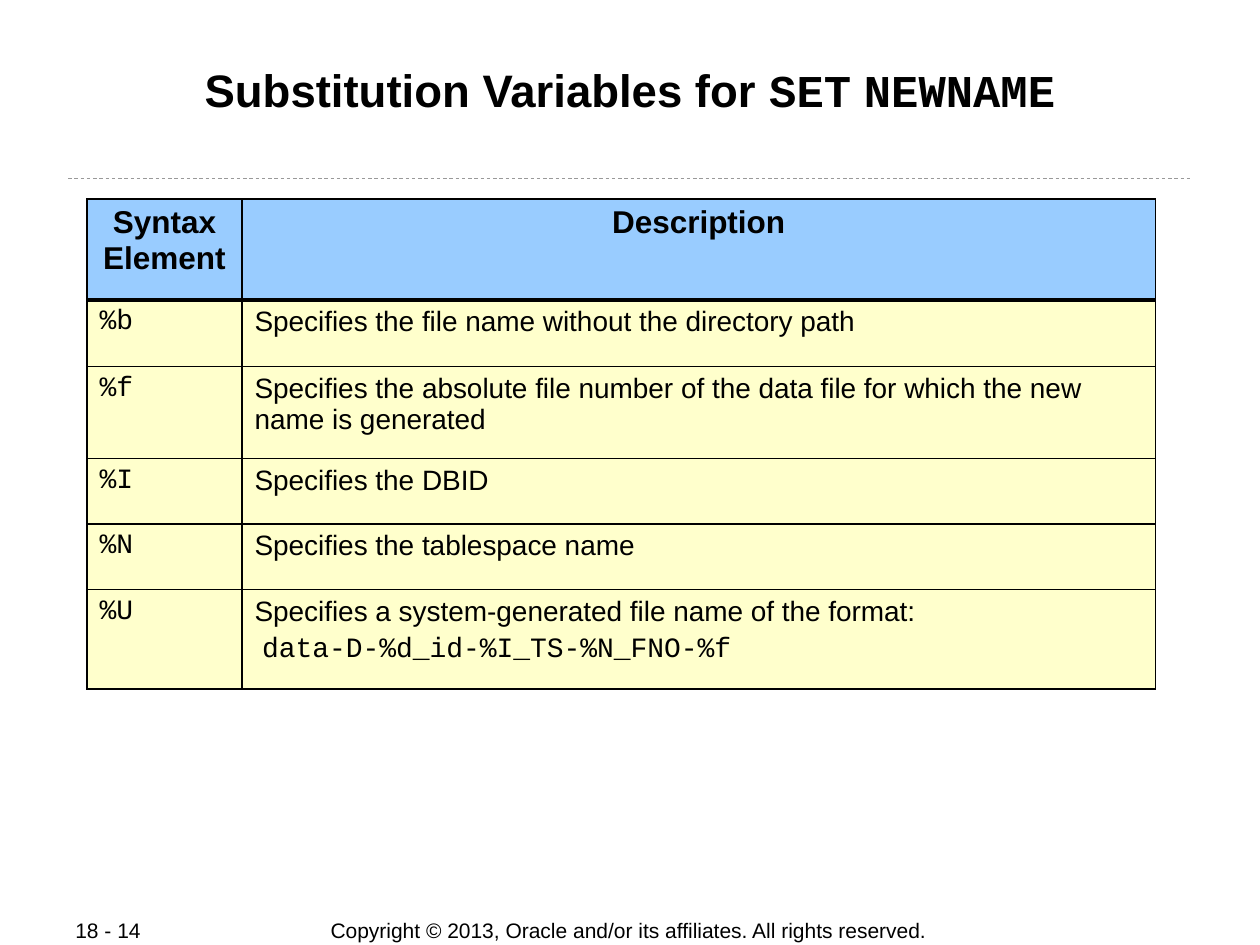
from lxml.etree import SubElement
from pptx import Presentation
from pptx.dml.color import RGBColor
from pptx.enum.dml import MSO_LINE
from pptx.enum.shapes import MSO_CONNECTOR
from pptx.enum.text import MSO_ANCHOR, MSO_AUTO_SIZE, PP_ALIGN
from pptx.oxml.ns import qn
from pptx.util import Inches, Pt

COLORS = {"ink": "000000", "rule": "999999", "header": "99CCFF", "body": "FFFFCC"}
SANS, MONO = "Arial", "Courier New"


def write(paragraph, text, font=SANS, size=16, bold=False, align=PP_ALIGN.LEFT):
    run = paragraph.add_run()
    run.text = text
    run.font.name = font
    run.font.size = Pt(size)
    run.font.bold = bold
    run.font.color.rgb = RGBColor.from_string(COLORS["ink"])
    paragraph.alignment = align


class SlideBuilder:
    """Draws styled elements on the current slide."""

    def __init__(self, deck):
        self.slide = deck.slides.add_slide(deck.slide_layouts[5])
        self.border = 1.08
        self.heavy_border = 2.21

    def title(self, parts, left, top, width, height):
        heading = self.slide.shapes.title
        heading.left, heading.top = Inches(left), Inches(top)
        heading.width, heading.height = Inches(width), Inches(height)
        frame = heading.text_frame
        frame.auto_size = MSO_AUTO_SIZE.NONE
        frame.word_wrap = True
        frame.vertical_anchor = MSO_ANCHOR.TOP
        frame.margin_left = frame.margin_right = Inches(0.01)
        frame.margin_top = frame.margin_bottom = Inches(0.01)
        for text, font in parts:
            write(frame.paragraphs[0], text, font=font, size=26, bold=True,
                  align=PP_ALIGN.CENTER)

    def rule(self, left, right, y):
        divider = self.slide.shapes.add_connector(
            MSO_CONNECTOR.STRAIGHT, Inches(left), Inches(y), Inches(right), Inches(y))
        divider.line.color.rgb = RGBColor.from_string(COLORS["rule"])
        divider.line.width = Pt(0.5)
        divider.line.dash_style = MSO_LINE.DASH
        SubElement(divider.element.spPr, qn("a:effectLst"))

    def footer(self, text, left, width, align):
        box = self.slide.shapes.add_textbox(
            Inches(left), Inches(7.28), Inches(width), Inches(0.21))
        box.text_frame.word_wrap = False
        box.text_frame.vertical_anchor = MSO_ANCHOR.MIDDLE
        write(box.text_frame.paragraphs[0], text, size=12, align=align)

    def cell(self, cell, fill, widths):
        properties = cell._tc.get_or_add_tcPr()
        for side, width in widths.items():
            edge = SubElement(properties, qn(f"a:{side}"), w=str(Pt(width)))
            SubElement(SubElement(edge, qn("a:solidFill")), qn("a:srgbClr"),
                       val=COLORS["ink"])
        cell.fill.solid()
        cell.fill.fore_color.rgb = RGBColor.from_string(COLORS[fill])

    def table(self, headers, rows, left, top, columns, heights):
        grid = self.slide.shapes.add_table(
            len(heights), len(columns), Inches(left), Inches(top),
            Inches(sum(columns)), Inches(sum(heights))).table
        for column, width in zip(grid.columns, columns):
            column.width = Inches(width)
        for row, height in zip(grid.rows, heights):
            row.height = Inches(height)
        for row_index, row in enumerate(grid.rows):
            widths = dict.fromkeys(("lnL", "lnR", "lnT", "lnB"), self.border)
            if row_index < 2:
                widths["lnT" if row_index else "lnB"] = self.heavy_border
            for cell in row.cells:
                self.cell(cell, "body" if row_index else "header", widths)
        for column, header in enumerate(headers):
            write(grid.cell(0, column).text_frame.paragraphs[0], header,
                  size=18, bold=True, align=PP_ALIGN.CENTER)
        for row_index, (element, description, *example) in enumerate(rows, 1):
            write(grid.cell(row_index, 0).text_frame.paragraphs[0], element, font=MONO)
            details = grid.cell(row_index, 1).text_frame
            write(details.paragraphs[0], description)
            for code in example:
                line = details.add_paragraph()
                line.space_before = Pt(4)
                line._p.get_or_add_pPr().set("marL", str(Inches(0.06)))
                write(line, code, font=MONO)


def main():
    deck = Presentation()
    deck.slide_width, deck.slide_height = Inches(10), Inches(7.5)
    builder = SlideBuilder(deck)
    builder.footer("Copyright © 2013, Oracle and/or its affiliates. All rights reserved.",
                   2.49, 5, PP_ALIGN.CENTER)
    builder.rule(0.54, 9.46, 1.42)
    builder.footer("18 - 14", 0.5, 1.06, PP_ALIGN.LEFT)
    builder.title([("Substitution Variables for ", SANS), ("SET", MONO),
                   (" ", SANS), ("NEWNAME", MONO)], 0.67, 0.48, 8.66, 0.96)
    builder.table(
        ["Syntax Element", "Description"],
        [("%b", "Specifies the file name without the directory path"),
         ("%f", "Specifies the absolute file number of the data file "
                "for which the new name is generated"),
         ("%I", "Specifies the DBID"),
         ("%N", "Specifies the tablespace name"),
         ("%U", "Specifies a system-generated file name of the format:",
          "data-D-%d_id-%I_TS-%N_FNO-%f")],
        left=0.69, top=1.58, columns=[1.23, 7.25],
        heights=[0.8, 0.53, 0.73, 0.52, 0.52, 0.79])
    deck.save("out.pptx")


if __name__ == "__main__":
    main()
